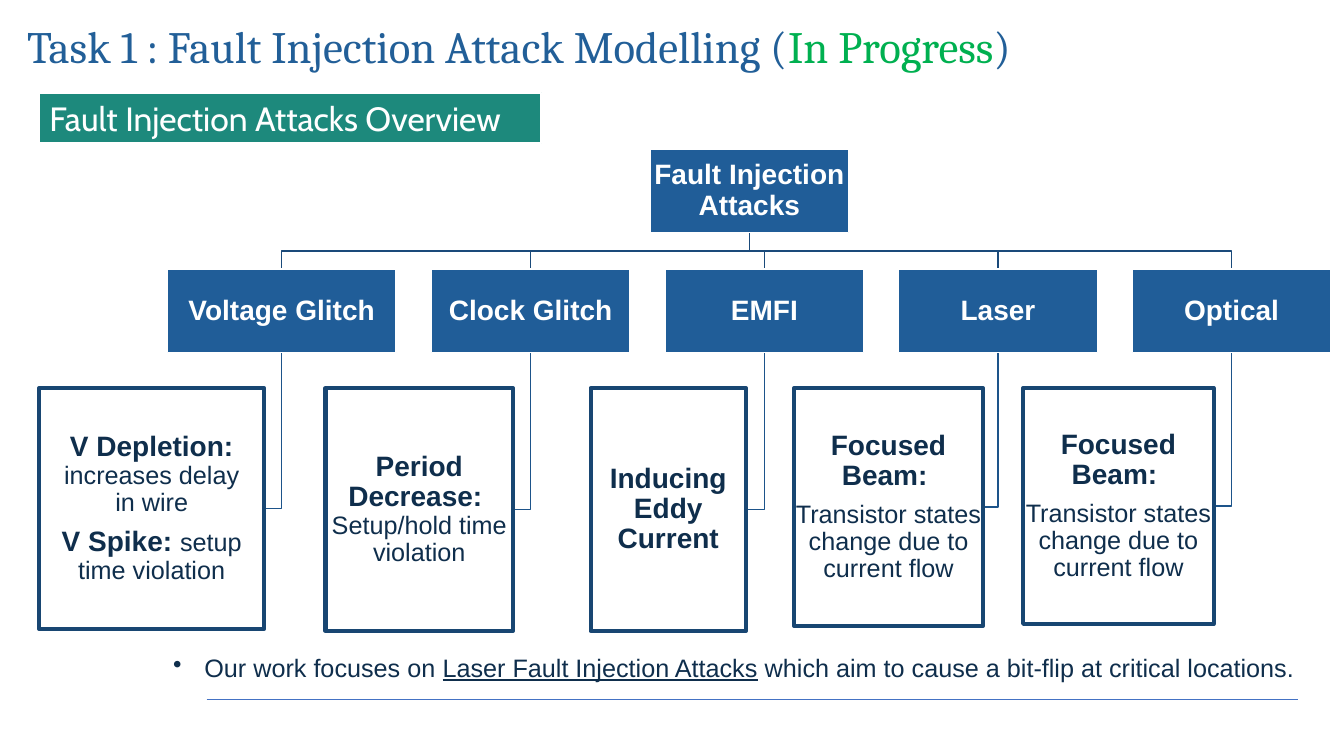
from dataclasses import dataclass
from typing import Any, Optional

import lxml.etree
import pptx
import pptx.dml.color
import pptx.enum.shapes
import pptx.enum.text
import pptx.oxml.ns
import pptx.util

HUES = {
    "title": "225F98", "done": "00B050", "banner": "1D897C", "white": "FFFFFF",
    "head": "205D98", "frame": "184672", "text": "0F2E4C",
    "trunk": "1A4A7A", "branch": "1D548A", "rule": "4472C4",
}
CELL = 0.1  # inches in one grid column or row
COLS, ROWS = 133.33, 75
HEAD_TOP, HEAD_TALL, NOTE_TOP = 26.7, 8.3, 38.5
ALIGN = pptx.enum.text.PP_ALIGN
ANCHOR = pptx.enum.text.MSO_ANCHOR


@dataclass(frozen=True)
class Area:
    left: float
    top: float
    wide: float
    tall: float

    @property
    def mid(self) -> float:
        return self.left + self.wide / 2

    @property
    def low(self) -> float:
        return self.top + self.tall


@dataclass(frozen=True)
class Run:
    text: str
    size: Optional[float] = None
    bold: Optional[bool] = None
    hue: Optional[str] = None
    under: Optional[bool] = None


@dataclass(frozen=True)
class Style:
    font: str
    size: float
    hue: str
    bold: bool = False
    align: Any = ALIGN.LEFT
    anchor: Any = ANCHOR.MIDDLE
    pad: tuple[float, float] = (1, 0.5)
    line: float = 1.0
    after: float = 0


@dataclass(frozen=True)
class Attack:
    name: str
    head: Area
    note: Area
    paras: list[list[Run]]


TITLE = Style("Cambria", 32, "title", anchor=ANCHOR.BOTTOM, pad=(1.4, 1.4))
BANNER = Style("Cabin", 24, "white")
POINT = Style("Arial", 18, "text", anchor=ANCHOR.TOP)
HEAD = Style("Arial", 20, "white", True, ALIGN.CENTER, pad=(0.1, 0.1), line=0.9, after=7)
NOTE = Style("Arial", 20, "text", True, ALIGN.CENTER, pad=(0.1, 0.1), line=0.9, after=7)

ROOT = Area(64.5, 14.8, 19.7, HEAD_TALL)


def head(left: float, wide: float = 19.7) -> Area:
    return Area(left, HEAD_TOP, wide, HEAD_TALL)


def step(index: int) -> Area:
    """Heading box in the evenly spaced part of the row."""
    return head(42.8 + 23.18 * index)


def note(left: float, wide: float, tall: float) -> Area:
    return Area(left, NOTE_TOP, wide, tall)


def plain(text: str) -> Run:
    return Run(text, 18, False)


BEAM = [[Run("Focused Beam: ")], [plain("Transistor states change due to current flow")]]
ATTACKS = [
    Attack("Voltage Glitch", head(16.6, 22.7), note(3.9, 22.3, 23.9), [
        [Run("V Depletion: "), plain("increases delay\nin wire")],
        [Run("V Spike: "), plain("setup time violation")],
    ]),
    Attack("Clock Glitch", step(0), note(32.3, 18.6, 24.1), [
        [Run("Period Decrease: \n"), plain("Setup/hold time violation")],
    ]),
    Attack("EMFI", step(1), note(58.6, 15.4, 24.1), [[Run("Inducing Eddy Current")]]),
    Attack("Laser", step(2), note(78.8, 18.7, 23.6), BEAM),
    Attack("Optical", step(3), note(101.5, 18.9, 23.4), BEAM),
]


def grid(count: float) -> pptx.util.Emu:
    return pptx.util.Inches(count * CELL)


def place(area: Area) -> tuple[pptx.util.Emu, ...]:
    return grid(area.left), grid(area.top), grid(area.wide), grid(area.tall)


def tint(name: str) -> pptx.dml.color.RGBColor:
    return pptx.dml.color.RGBColor.from_string(HUES[name])


def stroke(shape: Any, hue: str, width: float) -> None:
    shape.line.color.rgb = tint(hue)
    shape.line.width = pptx.util.Pt(width)


def add_run(para: Any, item: Run) -> None:
    for index, part in enumerate(item.text.split("\n")):
        if index:
            para.add_line_break()
        if not part:
            continue
        run = para.add_run()
        run.text = part
        if item.size:
            run.font.size = pptx.util.Pt(item.size)
        if item.bold is not None:
            run.font.bold = item.bold
        if item.hue:
            run.font.color.rgb = tint(item.hue)
        if item.under:
            run.font.underline = True


def add_dot(para: Any) -> None:
    props = para._p.get_or_add_pPr()
    props.set("marL", str(grid(3.1)))
    props.set("indent", str(-grid(3.1)))
    dot = lxml.etree.SubElement(props, pptx.oxml.ns.qn("a:buChar"))
    dot.set("char", "•")


def write(shape: Any, paras: list[list[Run]], style: Style, dotted: bool = False) -> None:
    frame = shape.text_frame
    frame.word_wrap = True
    frame.vertical_anchor = style.anchor
    frame.margin_left = frame.margin_right = grid(style.pad[0])
    frame.margin_top = frame.margin_bottom = grid(style.pad[1])
    for index, runs in enumerate(paras):
        para = frame.add_paragraph() if index else frame.paragraphs[0]
        para.alignment = style.align
        para.line_spacing = style.line
        para.space_after = pptx.util.Pt(style.after)
        if dotted:
            add_dot(para)
        para.font.name = style.font
        para.font.size = pptx.util.Pt(style.size)
        para.font.bold = style.bold
        para.font.color.rgb = tint(style.hue)
        for item in runs:
            add_run(para, item)


def add_box(slide: Any, area: Area, fill: Optional[str], edge: str, width: float) -> Any:
    kind = pptx.enum.shapes.MSO_SHAPE.RECTANGLE
    box = slide.shapes.add_shape(kind, *place(area))
    box.shadow.inherit = False
    if fill:
        box.fill.solid()
        box.fill.fore_color.rgb = tint(fill)
    else:
        box.fill.background()
    stroke(box, edge, width)
    return box


def add_bend(slide: Any, spots: list[tuple[float, float]], hue: str) -> None:
    """Draw an open line with square corners through the spots."""
    first, *rest = [(grid(x), grid(y)) for x, y in spots]
    pen = slide.shapes.build_freeform(*first)
    pen.add_line_segments(rest, close=False)
    bend = pen.convert_to_shape()
    bend.shadow.inherit = False
    bend.fill.background()
    stroke(bend, hue, 1)


def add_tree(slide: Any) -> None:
    fork = (ROOT.low + HEAD_TOP) / 2
    for item in ATTACKS:
        top, side = item.head, item.note
        half = side.top + side.tall / 2
        add_bend(slide, [(top.mid, top.low), (top.mid, half),
                         (side.left + side.wide, half)], "branch")
        add_bend(slide, [(ROOT.mid, ROOT.low), (ROOT.mid, fork),
                         (top.mid, fork), (top.mid, top.top)], "trunk")
    heads = [("Fault Injection Attacks", ROOT)] + [(a.name, a.head) for a in ATTACKS]
    for name, area in heads:
        write(add_box(slide, area, "head", "white", 1), [[Run(name)]], HEAD)
    for item in ATTACKS:
        write(add_box(slide, item.note, None, "frame", 3), item.paras, NOTE)


def main() -> None:
    deck = pptx.Presentation()
    deck.slide_width, deck.slide_height = grid(COLS), grid(ROWS)
    slide = deck.slides.add_slide(deck.slide_layouts[6])
    shapes = slide.shapes

    rule = shapes.add_connector(pptx.enum.shapes.MSO_CONNECTOR.STRAIGHT,
                                grid(20.5), grid(69.4), grid(128.8), grid(69.4))
    stroke(rule, "rule", 0.5)
    lxml.etree.SubElement(rule._element.spPr, pptx.oxml.ns.qn("a:effectLst"))

    title = shapes.add_textbox(*place(Area(1.3, 2.1, 130.7, 6.5)))
    write(title, [[Run("Task 1 : Fault Injection Attack Modelling ("),
                   Run("In Progress", hue="done"), Run(")")]], TITLE)
    add_tree(slide)
    point = shapes.add_textbox(*place(Area(16.2, 64.2, 115, 4)))
    write(point, [[Run("Our work focuses on "),
                   Run("Laser Fault Injection Attacks", under=True),
                   Run(" which aim to cause a bit-flip at critical locations.")]],
          POINT, dotted=True)
    banner = add_box(slide, Area(3.9, 9.2, 49.8, 5), "banner", "white", 1.5)
    write(banner, [[Run("Fault Injection Attacks Overview")]], BANNER)
    deck.save("out.pptx")


if __name__ == "__main__":
    main()
